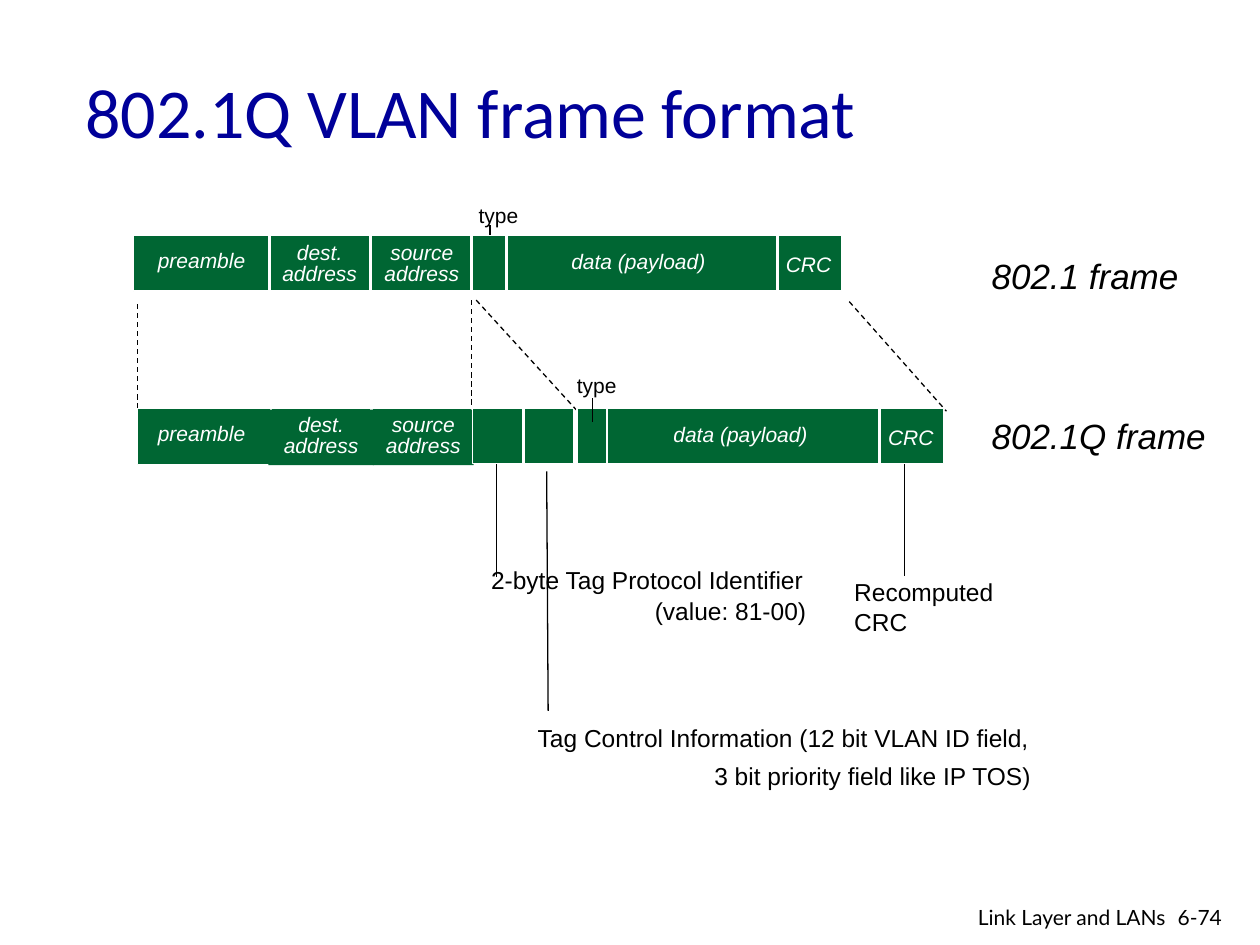
import pptx
import pptx.dml.color
import pptx.enum.dml
import pptx.enum.shapes
import pptx.enum.text
import pptx.oxml.ns
import pptx.util
import lxml.etree

Cm = pptx.util.Cm
Pt = pptx.util.Pt
ALIGN = pptx.enum.text.PP_ALIGN
ANCHOR = pptx.enum.text.MSO_ANCHOR

BLACK = pptx.dml.color.RGBColor(0x00, 0x00, 0x00)
WHITE = pptx.dml.color.RGBColor(0xFF, 0xFF, 0xFF)
GREEN = pptx.dml.color.RGBColor(0x00, 0x66, 0x33)
NAVY = pptx.dml.color.RGBColor(0x00, 0x00, 0x99)

# Field name: (lines, width, height, offset below the frame top), in cm
FIELDS = {
    "preamble": (["preamble"], 2.29, 0.69, 0.2),
    "dest": (["dest.", "address"], 2.13, 1.12, 0.03),
    "source": (["source", "address"], 2.03, 1.12, 0.03),
    "data": (["data (payload)"], 3.3, 0.69, 0.22),
    "crc": (["CRC"], 1.42, 0.69, 0.28),
}


def add_line(slide, start, end, color=BLACK, width=0.75, dashed=False):
    line = slide.shapes.add_connector(
        pptx.enum.shapes.MSO_CONNECTOR.STRAIGHT,
        *[Cm(value) for value in (*start, *end)])
    line.line.color.rgb = color
    line.line.width = Pt(width)
    if dashed:
        line.line.dash_style = pptx.enum.dml.MSO_LINE.DASH
    properties = line._element.spPr
    lxml.etree.SubElement(properties, pptx.oxml.ns.qn("a:effectLst"))


def add_text(slide, box, lines, size, font="Arial", color=BLACK, italic=False,
             align=ALIGN.LEFT, anchor=ANCHOR.TOP, wrap=False, spacing=None,
             gap=0, indent=0, fill=None):
    """Place lines of text; gap and indent apply from the second line on."""
    label = slide.shapes.add_textbox(*[Cm(value) for value in box])
    if fill is not None:
        label.fill.solid()
        label.fill.fore_color.rgb = fill
    frame = label.text_frame
    frame.word_wrap = wrap
    frame.vertical_anchor = anchor
    for number, line in enumerate(lines):
        paragraph = frame.paragraphs[0] if number == 0 else frame.add_paragraph()
        paragraph.alignment = align
        if spacing is not None:
            paragraph.line_spacing = spacing
        if number and gap:
            paragraph.space_before = Pt(gap)
        if number and indent:
            paragraph._p.get_or_add_pPr().set("marL", str(Cm(indent)))
        run = paragraph.add_run()
        run.text = line
        run.font.name = font
        run.font.size = Pt(size)
        run.font.italic = italic
        run.font.color.rgb = color


def add_segment(slide, box, dividers, fields=(), label_fill=None):
    """Draw a green strip; dividers and fields are offsets from its left."""
    left, top, width, height = box
    strip = slide.shapes.add_shape(
        pptx.enum.shapes.MSO_SHAPE.RECTANGLE, *[Cm(value) for value in box])
    strip.shadow.inherit = False
    strip.fill.solid()
    strip.fill.fore_color.rgb = GREEN
    strip.line.color.rgb = WHITE
    strip.line.width = Pt(0.75)
    for offset in dividers:
        add_line(slide, (left + offset, top - 0.03),
                 (left + offset, top + height + 0.04), WHITE, 1.5)
    for name, offset in fields:
        lines, field_width, field_height, drop = FIELDS[name]
        add_text(slide, (left + offset, top + drop, field_width, field_height),
                 lines, 12, color=WHITE, italic=True, align=ALIGN.CENTER,
                 spacing=Pt(12), fill=label_fill)


def add_type_mark(slide, left, top, tick_left, tick_top):
    add_text(slide, (left, top, 1.32, 0.76), ["type"], 12)
    add_line(slide, (left + tick_left, top + tick_top),
             (left + tick_left, top + tick_top + 0.48))


def add_plain_frame(slide, left, top):
    add_type_mark(slide, left + 6.71, top - 0.79, 0.48, 0.58)
    add_segment(slide, (left, top, 14.27, 1.12),
                [2.74, 4.78, 6.81, 7.52, 12.98],
                [("dest", 2.69), ("source", 4.8), ("data", 8.53),
                 ("crc", 12.9), ("preamble", 0.23)])
    add_text(slide, (left + 17.05, top + 0.25, 4.32, 1.12),
             ["802.1 frame"], 20, italic=True)


def add_tagged_frame(slide, left, top):
    # Addresses, then payload, then the inserted tag
    add_segment(slide, (left, top, 6.81, 1.14), [2.69, 4.72, 6.76],
                [("dest", 2.64), ("source", 4.75), ("preamble", 0.15)], GREEN)
    add_segment(slide, (left + 8.86, top, 7.39, 1.12), [0.61, 6.1],
                [("data", 1.65), ("crc", 6.02)])
    add_type_mark(slide, left + 8.61, top - 0.84, 0.56, 0.64)
    add_segment(slide, (left + 6.76, top, 2.03, 1.12), [1.02])
    add_text(slide, (left + 16.97, top, 4.85, 1.12),
             ["802.1Q frame"], 20, italic=True)


def add_expansion_lines(slide, left, top):
    for start, end in [((0, 0.08), (0, 2.21)), ((6.73, 0), (6.73, 2.13)),
                       ((6.83, 0), (8.89, 2.26)), ((14.35, 0.03), (16.31, 2.24))]:
        add_line(slide, (left + start[0], top + start[1]),
                 (left + end[0], top + end[1]), dashed=True)


def add_callouts(slide, left, top):
    # Tag protocol identifier
    add_line(slide, (left + 0.36, top), (left + 0.36, top + 2.39))
    add_text(slide, (left, top + 2.03, 6.96, 1.45),
             ["2-byte Tag Protocol Identifier", "(value: 81-00)"],
             14, anchor=ANCHOR.MIDDLE, gap=1, indent=3.3)
    # Tag control information
    add_line(slide, (left + 1.37, top + 0.25), (left + 1.4, top + 5.08))
    add_text(slide, (left + 0.94, top + 5.21, 10.62, 1.6),
             ["Tag Control Information (12 bit VLAN ID field,",
              "3 bit priority field like IP TOS)"],
             14, anchor=ANCHOR.MIDDLE, gap=5, indent=3.56)
    # Recomputed checksum
    add_line(slide, (left + 8.59, top), (left + 8.59, top + 2.36))
    add_text(slide, (left + 7.32, top + 2.36, 3.43, 1.35),
             ["Recomputed", "CRC"], 14, anchor=ANCHOR.MIDDLE,
             spacing=0.8, gap=4)


def add_footer(slide, left, top):
    add_text(slide, (left, top, 6.05, 0.66), ["Link Layer and LANs"], 12,
             font="Lato", align=ALIGN.RIGHT, wrap=True)
    add_text(slide, (left + 5.79, top, 1.52, 0.76), ["6-74"], 12,
             font="Lato", wrap=True)


def main():
    deck = pptx.Presentation()
    deck.slide_width, deck.slide_height = Cm(25.4), Cm(19.05)
    slide = deck.slides.add_slide(deck.slide_layouts[6])
    add_text(slide, (1.47, 0.64, 21.59, 3.18), ["802.1Q VLAN frame format"], 40,
             font="Calibri", color=NAVY, anchor=ANCHOR.MIDDLE, wrap=True)
    add_expansion_lines(slide, 2.77, 6.05)
    add_callouts(slide, 9.65, 9.25)
    add_plain_frame(slide, 2.69, 4.75)
    add_tagged_frame(slide, 2.77, 8.23)
    add_footer(slide, 17.7, 18.11)
    deck.save("out.pptx")


if __name__ == "__main__":
    main()
